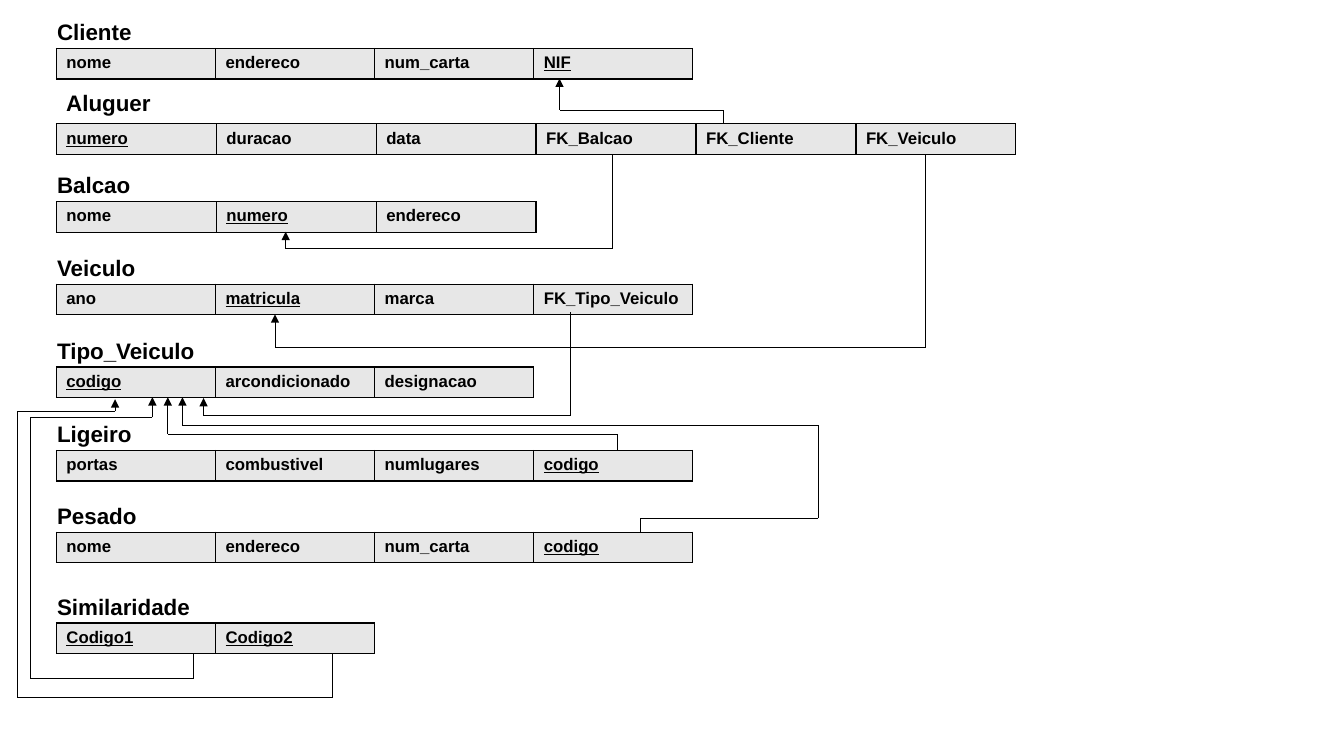
"""Draw a relational schema: tables of fields and the keys that link them."""
from dataclasses import dataclass
from itertools import pairwise

from lxml.etree import SubElement
from pptx import Presentation
from pptx.dml.color import RGBColor as Rgb
from pptx.enum.shapes import MSO_CONNECTOR as Kind
from pptx.oxml.ns import qn
from pptx.slide import Slide
from pptx.table import _Cell as Cell
from pptx.text.text import _Paragraph as Para
from pptx.util import Cm, Pt


@dataclass(frozen=True)
class Theme:
    ink: Rgb = Rgb(0, 0, 0)
    fill: Rgb = Rgb(0xE7, 0xE7, 0xE7)
    font: str = "Arial"
    title: float = 16
    field: float = 12
    edge: float = 1
    link: float = 0.5


@dataclass(frozen=True)
class Entity:
    name: str
    top: float
    fields: tuple[str, ...]
    keys: tuple[str, ...]
    col: float = 4.01
    wide: float = 2.82
    left: float = 1.19
    lift: float = 0.89


@dataclass(frozen=True)
class Link:
    start: tuple[float, float]
    turns: tuple[float, ...]


THEME = Theme()
LEFT, HIGH = 1.42, 0.77

ENTITIES = (
    Entity("Cliente", 1.22, ("nome", "endereco", "num_carta", "NIF"), ("NIF",)),
    Entity("Aluguer", 3.12,
           ("numero", "duracao", "data", "FK_Balcao", "FK_Cliente", "FK_Veiculo"),
           ("numero",), col=4.03, left=1.42, lift=0.99),
    Entity("Balcao", 5.08, ("nome", "numero", "endereco"), ("numero",), col=4.03),
    Entity("Veiculo", 7.16, ("ano", "matricula", "marca", "FK_Tipo_Veiculo"),
           ("matricula",)),
    Entity("Tipo_Veiculo", 9.25, ("codigo", "arcondicionado", "designacao"),
           ("codigo",), wide=4.17),
    Entity("Ligeiro", 11.35, ("portas", "combustivel", "numlugares", "codigo"),
           ("codigo",)),
    Entity("Pesado", 13.41, ("nome", "endereco", "num_carta", "codigo"), ("codigo",)),
    Entity("Similaridade", 15.7, ("Codigo1", "Codigo2"), ("Codigo1", "Codigo2"),
           wide=4.06),
)

LINKS = (
    Link((18.22, 3.11), (2.77, 14.1, 1.98)),
    Link((15.42, 3.89), (6.27, 7.2, 5.84)),
    Link((23.32, 3.89), (8.76, 6.93, 7.92)),
    Link((14.38, 7.87), (10.47, 5.13, 10.03)),
    Link((15.56, 11.35), (10.94, 4.23, 10.01)),
    Link((16.15, 13.41), (13.06, 20.62, 10.72, 4.6, 10.01)),
    Link((4.88, 16.46), (17.1, 0.76, 10.52, 3.84, 10.01)),
    Link((8.38, 16.48), (17.58, 0.43, 10.36, 2.9, 10.06)),
)


def style(para: Para, size: float, under: bool = False) -> None:
    """Set the bold type of a paragraph."""
    font = para.font
    font.name, font.size, font.bold = THEME.font, Pt(size), True
    font.underline = under
    font.color.rgb = THEME.ink


def border(cell: Cell) -> None:
    """Rule all four sides of a cell."""
    props = cell._tc.get_or_add_tcPr()
    for side in "LRTB":
        line = SubElement(props, qn(f"a:ln{side}"), w=str(Pt(THEME.edge)))
        paint = SubElement(line, qn("a:solidFill"))
        SubElement(paint, qn("a:srgbClr"), val=str(THEME.ink))


def draw_entity(slide: Slide, item: Entity) -> None:
    """Draw an entity's title and its row of fields."""
    count = len(item.fields)
    table = slide.shapes.add_table(
        1, count, Cm(LEFT), Cm(item.top), Cm(item.col * count), Cm(HIGH)).table
    table.first_row = table.horz_banding = False
    for col, cell, name in zip(table.columns, table.rows[0].cells, item.fields):
        col.width = Cm(item.col)
        border(cell)
        cell.fill.solid()
        cell.fill.fore_color.rgb = THEME.fill
        cell.text = name
        style(cell.text_frame.paragraphs[0], THEME.field, name in item.keys)
    frame = slide.shapes.add_textbox(
        Cm(item.left), Cm(item.top - item.lift), Cm(item.wide), Cm(0.94)).text_frame
    frame.word_wrap = True
    frame.text = item.name
    style(frame.paragraphs[0], THEME.title)


def draw_link(slide: Slide, link: Link) -> None:
    """Draw a right-angled path, first upright, with an arrow at its end."""
    x, y = link.start
    points = [(x, y)]
    for step, turn in enumerate(link.turns):
        x, y = (turn, y) if step % 2 else (x, turn)
        points.append((x, y))
    for start, end in pairwise(points):
        part = slide.shapes.add_connector(
            Kind.STRAIGHT, *(Cm(val) for val in start + end))
        part.line.color.rgb = THEME.ink
        part.line.width = Pt(THEME.link)
        SubElement(part._element.spPr, qn("a:effectLst"))
    SubElement(part.line._get_or_add_ln(), qn("a:tailEnd"), type="triangle")


def main() -> None:
    """Build and save the slide."""
    deck = Presentation()
    deck.slide_width, deck.slide_height = Cm(33.87), Cm(19.05)
    slide = deck.slides.add_slide(deck.slide_layouts[6])
    for item in ENTITIES:
        draw_entity(slide, item)
    for link in LINKS:
        draw_link(slide, link)
    deck.save("out.pptx")


main()
